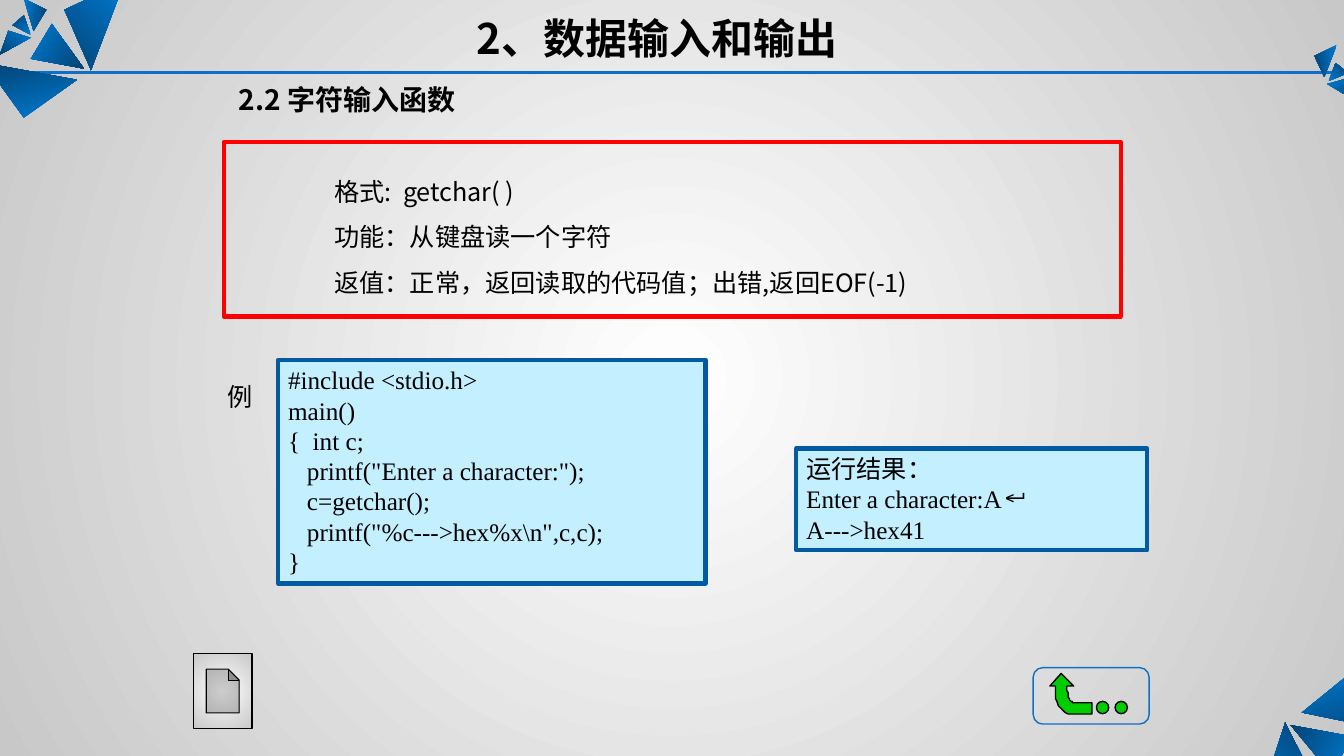
"""Build the slide on the character input function getchar."""
from lxml import etree
from pptx import Presentation
from pptx.dml.color import RGBColor
from pptx.enum import shapes, text
from pptx.oxml import ns
from pptx.util import Pt

COLORS = {
    "ink": "000000", "white": "FFFFFF", "grey": "C8C8C8", "rule": "0F6FC6",
    "bright": "007BD3", "deep": "034373", "red": "FF0000",
    "panel": "C4EFFF", "border": "025AA2", "green": "00CC00",
}
COLORS = {name: RGBColor.from_string(value) for name, value in COLORS.items()}
SANS, SERIF = "Noto Sans CJK SC", "Times New Roman"
KIND = shapes.MSO_SHAPE


def paint(shape, fill=None, line=None, width=1):
    shape.shadow.inherit = False
    if fill:
        shape.fill.solid()
        shape.fill.fore_color.rgb = COLORS[fill]
    else:
        shape.fill.background()
    if line:
        shape.line.color.rgb = COLORS[line]
        shape.line.width = Pt(width)
    else:
        shape.line.fill.background()


def write(shape, lines, size, font, anchor="TOP", align="LEFT", bold=False, spacing=1.0, indent=0):
    frame = shape.text_frame
    frame.text = "\n".join(lines)
    frame.word_wrap = True
    frame.auto_size = text.MSO_AUTO_SIZE.NONE
    frame.vertical_anchor = text.MSO_ANCHOR[anchor]
    for paragraph in frame.paragraphs:
        paragraph.alignment = text.PP_ALIGN[align]
        paragraph.line_spacing = spacing
        paragraph.space_before = Pt(0)
        paragraph.font.size = Pt(size)
        paragraph.font.bold = bold
        paragraph.font.color.rgb = COLORS["ink"]
        paragraph.font.name = font
        properties = paragraph._p.get_or_add_pPr()
        properties.set("marL", str(Pt(indent)))
        properties.set("indent", "0")
        east_asian = etree.SubElement(properties.find(ns.qn("a:defRPr")), ns.qn("a:ea"))
        east_asian.set("typeface", SANS)


deck = Presentation()
deck.slide_width, deck.slide_height = Pt(960), Pt(540)
slide = deck.slides.add_slide(deck.slide_layouts[5])
canvas = slide.shapes

rule = canvas.add_connector(shapes.MSO_CONNECTOR.STRAIGHT, Pt(2), Pt(51.8), Pt(960), Pt(51.8))
rule.line.color.rgb = COLORS["rule"]
rule.line.width = Pt(2.25)
etree.SubElement(rule._element.spPr, ns.qn("a:effectLst"))

shards = [
    (224, [(895.7, 583.9), (918, 515.5), (942.5, 563.8)]),
    (119, [(966.2, 525.6), (922.3, 517.7), (951.1, 553)]),
    (343, [(968.4, 478.1), (929.5, 509), (999.4, 523.4)]),
    (45, [(89.3, -13), (64.8, 49.7), (46.1, 7.2)]),
    (300, [(22.3, 42.5), (60.5, 49), (37.4, 16.6)]),
    (165, [(16.6, 84.2), (54.7, 56.9), (-10.8, 45.4)]),
    (38, [(0, 38.9), (22.3, 26.6), (5.8, 21.6)]),
    (143, [(17.3, 10.8), (21.6, 25.2), (8.6, 18)]),
    (279, [(33.1, 7.2), (24.5, 22.3), (17.3, -1.4)]),
    (325, [(969.8, 72.7), (948.2, 59.8), (965.5, 55.4)]),
    (220, [(954, 44.6), (949, 58.3), (962.6, 51.8)]),
    (84, [(938.9, 39.6), (946.1, 55.4), (954.7, 32.4)]),
]
for turn, corners in shards:
    outline = canvas.build_freeform(*corners[0], scale=Pt(1))
    outline.add_line_segments(corners[1:])
    shard = outline.convert_to_shape()
    paint(shard)
    shard.fill.gradient()
    shard.fill.gradient_angle = (270 - turn) % 360
    for stop, name in zip(shard.fill.gradient_stops, ("bright", "deep")):
        stop.color.rgb = COLORS[name]

title = canvas.title
title.left, title.top, title.width, title.height = Pt(56.9), Pt(5), Pt(824.4), Pt(43.2)
write(title, ["2、数据输入和输出"], 30, SANS, "MIDDLE", "CENTER", True)

heading = canvas.add_textbox(Pt(163.4), Pt(58.3), Pt(612), Pt(43.2))
write(heading, ["2.2 字符输入函数"], 20, SANS, bold=True, spacing=0.9)

summary = canvas.add_shape(KIND.RECTANGLE, Pt(159.8), Pt(101.5), Pt(640.8), Pt(124.6))
paint(summary, line="red", width=3)
write(summary, [
    "格式:  getchar( )",
    "功能：从键盘读一个字符",
    "返值：正常，返回读取的代码值；出错,返回EOF(-1)",
], 18, SANS, "MIDDLE", spacing=1.5, indent=72)

example = canvas.add_textbox(Pt(155.5), Pt(268.6), Pt(38.9), Pt(28.8))
write(example, ["例"], 18, SERIF)

code = [
    "#include <stdio.h>",
    "main()",
    "{  int c;",
    '   printf("Enter a character:");',
    "   c=getchar();",
    '   printf("%c--->hex%x\\n",c,c);',
    "}",
]
result = ["运行结果：", "Enter a character:A↵", "A--->hex41"]
for left, top, width, height, lines in [
    (198.7, 257, 305.3, 159.8, code),
    (568.8, 320.4, 250.6, 72.7, result),
]:
    listing = canvas.add_shape(KIND.RECTANGLE, Pt(left), Pt(top), Pt(width), Pt(height))
    paint(listing, "panel", "border", 3)
    write(listing, lines, 18, SERIF)

document = canvas.add_shape(KIND.ACTION_BUTTON_DOCUMENT, Pt(138.2), Pt(466.6), Pt(41.8), Pt(54))
paint(document, line="ink", width=0.75)

for fill in (slide.background.fill, document.fill):
    fill.gradient()
    for stop, name in zip(fill.gradient_stops, ("white", "grey")):
        stop.color.rgb = COLORS[name]
for gradient in (slide.element.find(".//" + ns.qn("p:bgPr")).find(ns.qn("a:gradFill")),
                 document._element.spPr.find(ns.qn("a:gradFill"))):
    gradient.remove(gradient.find(ns.qn("a:lin")))
    circle = etree.SubElement(gradient, ns.qn("a:path"))
    circle.set("path", "circle")
    center = etree.SubElement(circle, ns.qn("a:fillToRect"))
    for side in "ltrb":
        center.set(side, "50000")

back = canvas.add_shape(KIND.ROUNDED_RECTANGLE, Pt(738), Pt(476.9), Pt(82.8), Pt(40.3))
paint(back, line="rule")

bends = []
for start, pull, push, end in [
    ((753.8, 493.2), (753.8, 503.3), (759.6, 510.5), (766.8, 510.5)),
    ((766.8, 501.8), (764.6, 501.8), (762.5, 498.2), (762.5, 493.2)),
]:
    bends.append([
        tuple((1 - t) ** 3 * a + 3 * (1 - t) ** 2 * t * b + 3 * (1 - t) * t ** 2 * c + t ** 3 * d
              for a, b, c, d in zip(start, pull, push, end))
        for t in (step / 10 for step in range(11))
    ])
outline = canvas.build_freeform(758.2, 481, scale=Pt(1))
outline.add_line_segments(
    [(749.5, 489.6), (753.8, 489.6), *bends[0], (780.5, 510.5), (780.5, 501.8),
     *bends[1], (762.5, 489.6), (766.8, 489.6)])
paint(outline.convert_to_shape(), "green", "ink")

for left in (783.2, 796.5):
    dot = canvas.add_shape(KIND.OVAL, Pt(left), Pt(501), Pt(8.8), Pt(8.8))
    paint(dot, "green", "ink")

deck.save("out.pptx")
